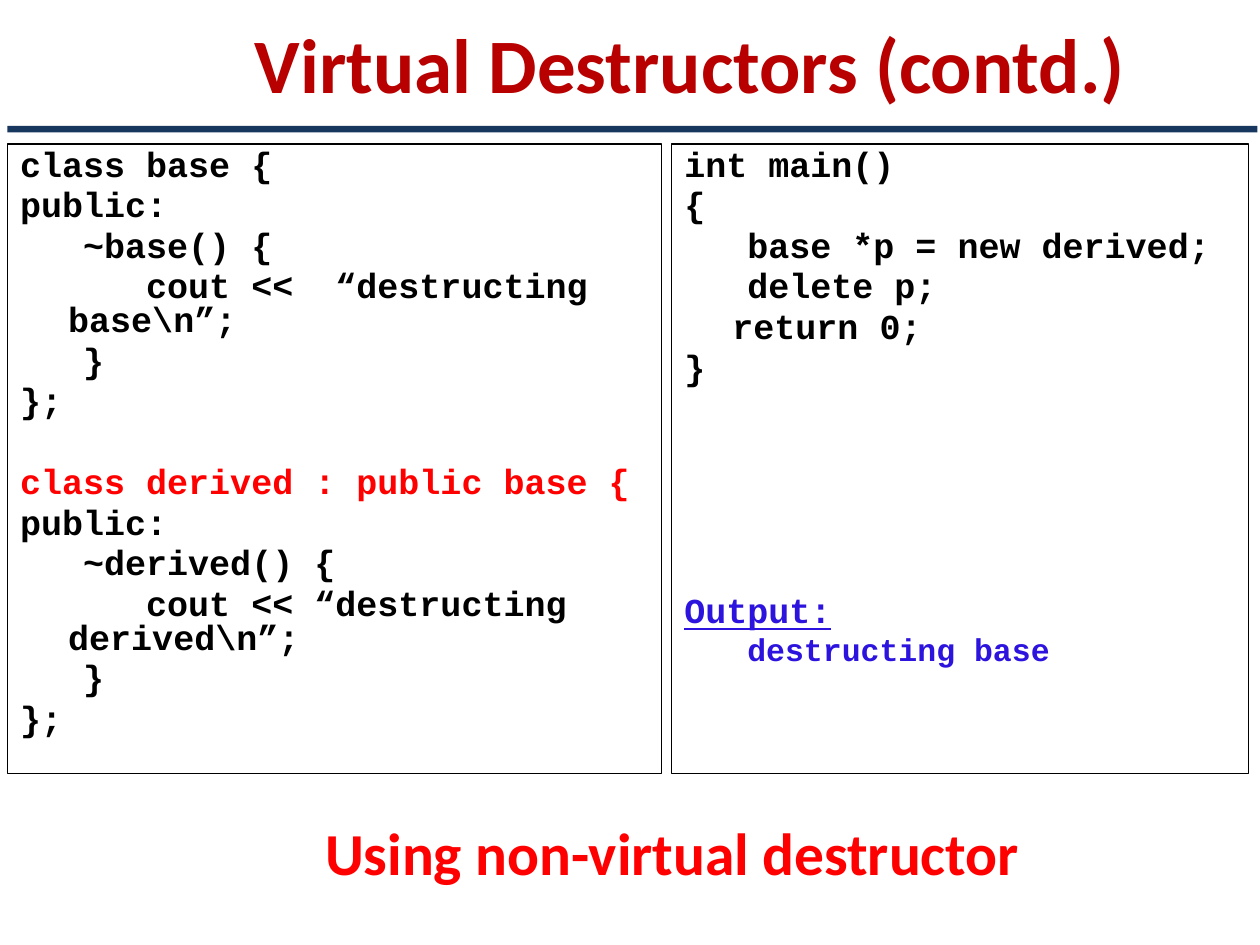
from pptx import Presentation
from pptx.dml.color import RGBColor
from pptx.enum.shapes import MSO_SHAPE
from pptx.enum.text import MSO_ANCHOR, MSO_AUTO_SIZE, PP_ALIGN
from pptx.oxml.ns import qn
from pptx.util import Cm, Pt

COLORS = {"title": "B80000", "bar": "17375E", "code": "000000",
          "accent": "FF0000", "output": "2C14DE"}

CLASSES = """class base {
public:
   ~base() {
      cout <<  “destructing base\\n”;
   }
};
class derived : public base {
public:
   ~derived() {
      cout << “destructing derived\\n”;
   }
};""".split("\n")

MAIN = """int main()
{
   base *p = new derived;
   delete p;
\treturn 0;
}
Output:
destructing base""".split("\n")


def color(name):
    """Return the named colour."""
    return RGBColor.from_string(COLORS[name])


def place(shape, box):
    """Move a shape to a box of left, top, width and height in centimetres."""
    shape.left, shape.top, shape.width, shape.height = map(Cm, box)


def style(para, size, font, tint):
    """Set the bold font of a paragraph."""
    para.font.size, para.font.name = Pt(size), font
    para.font.bold = True
    para.font.color.rgb = color(tint)


def add_heading(shape, box, text, size, tint):
    """Fill a text shape with one centred line."""
    place(shape, box)
    frame = shape.text_frame
    frame.word_wrap = True
    frame.auto_size = MSO_AUTO_SIZE.NONE
    frame.vertical_anchor = MSO_ANCHOR.MIDDLE
    para = frame.paragraphs[0]
    para.text = text
    para.alignment = PP_ALIGN.CENTER
    style(para, size, "Calibri", tint)


def set_indent(para, left, hanging):
    """Give a paragraph a hanging indent without a bullet."""
    properties = para._p.get_or_add_pPr()
    properties.set("marL", str(Cm(left)))
    properties.set("indent", str(-Cm(hanging)))
    properties.append(properties.makeelement(qn("a:buNone"), {}))


def add_code(shape, box, lines):
    """Fill an outlined body placeholder with code and return its paragraphs."""
    place(shape, box)
    shape.line.color.rgb = color("code")
    shape.line.width = Pt(0.75)
    frame = shape.text_frame
    frame.auto_size = MSO_AUTO_SIZE.NONE
    frame.text = "\n".join(lines)
    for index, para in enumerate(frame.paragraphs):
        para.line_spacing = 0.8
        para.space_before = Pt(4 if index else 0)
        set_indent(para, 0.97, 0.97)
        style(para, 20, "Courier New", "code")
    return frame.paragraphs


def add_classes(shape, box):
    """Show the two classes, the derived one set apart in the accent colour."""
    derived = add_code(shape, box, CLASSES)[6]
    derived.space_before = Pt(27)
    derived.font.color.rgb = color("accent")


def add_main(shape, box):
    """Show the main function with its output further down."""
    label, result = add_code(shape, box, MAIN)[-2:]
    label.space_before = Pt(120)
    label.font.underline = True
    result.level = 1
    properties = result._p.get_or_add_pPr()
    properties.set("marL", str(Cm(2.06)))
    properties.set("indent", str(-Cm(0.79)))
    result.font.size = Pt(18)
    for para in (label, result):
        para.font.color.rgb = color("output")


def add_bar(page, box):
    """Draw the bar under the title."""
    bar = page.shapes.add_shape(MSO_SHAPE.RECTANGLE, *map(Cm, box))
    bar.shadow.inherit = False
    bar.fill.solid()
    bar.fill.fore_color.rgb = color("bar")
    bar.line.fill.background()


def main():
    """Build the slide and save it."""
    deck = Presentation()
    deck.slide_width, deck.slide_height = Cm(25.4), Cm(19.05)
    page = deck.slides.add_slide(deck.slide_layouts[3])
    title, left, right = page.placeholders
    add_heading(title, (2.49, 0, 22.86, 2.54),
                "Virtual Destructors (contd.)", 44, "title")
    add_classes(left, (0.15, 2.9, 13.18, 12.7))
    add_main(right, (13.54, 2.9, 11.63, 12.7))
    caption_box = (6.12, 16.31, 14.86, 1.7)
    caption = page.shapes.add_textbox(*map(Cm, caption_box))
    add_heading(caption, caption_box,
                "Using non-virtual destructor", 34, "accent")
    add_bar(page, (0.15, 2.54, 25.2, 0.13))
    deck.save("out.pptx")


if __name__ == "__main__":
    main()
